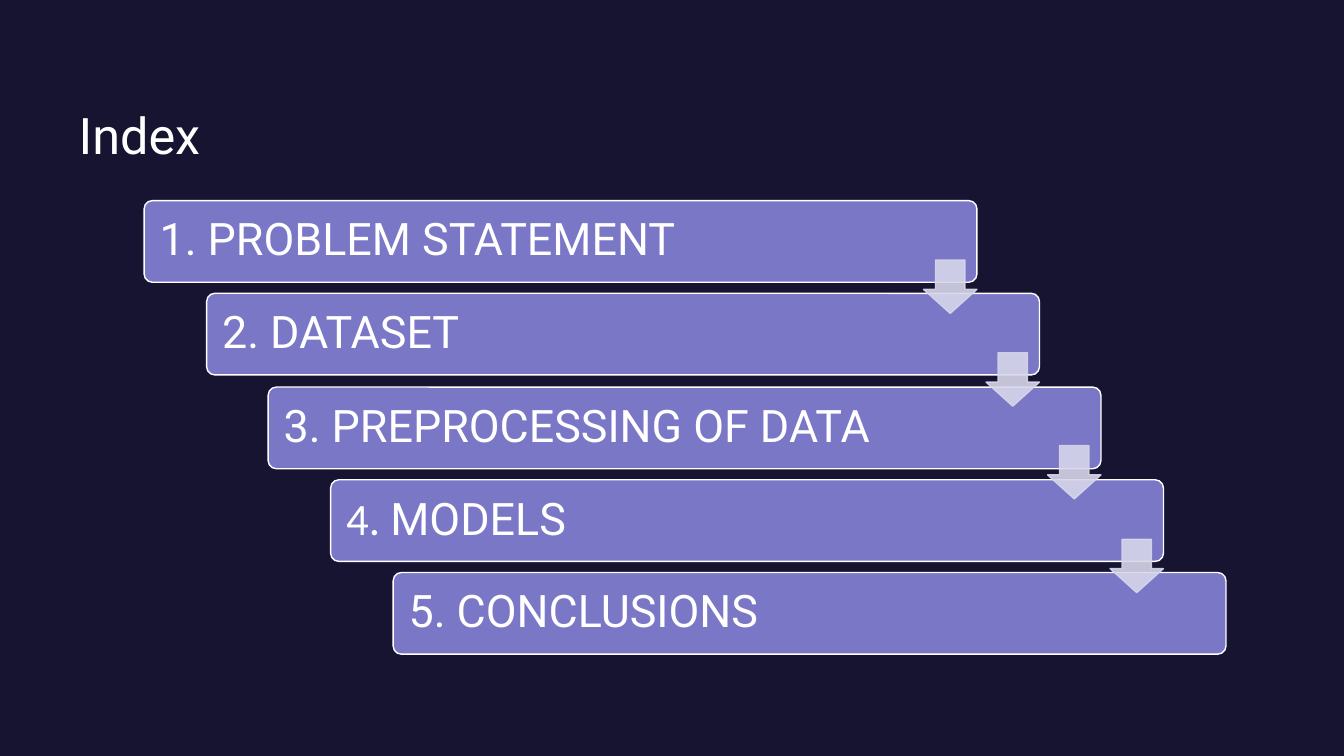
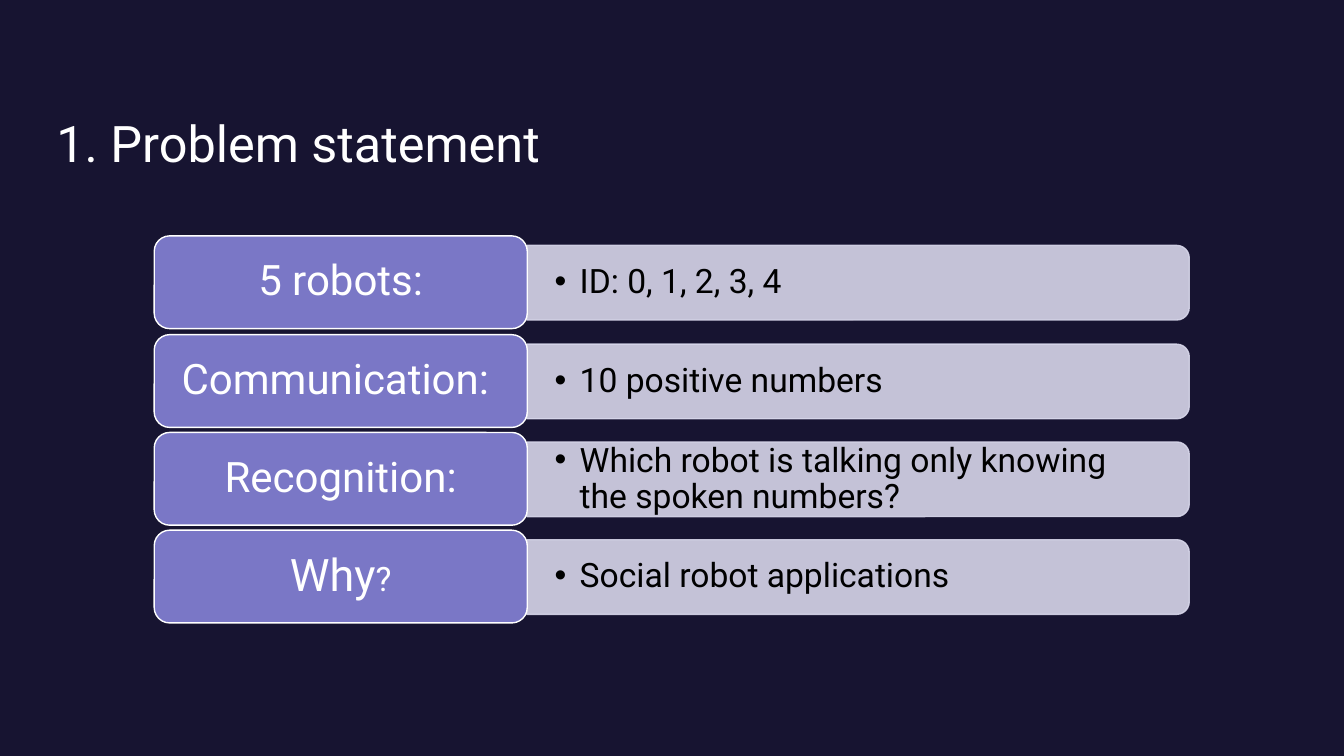
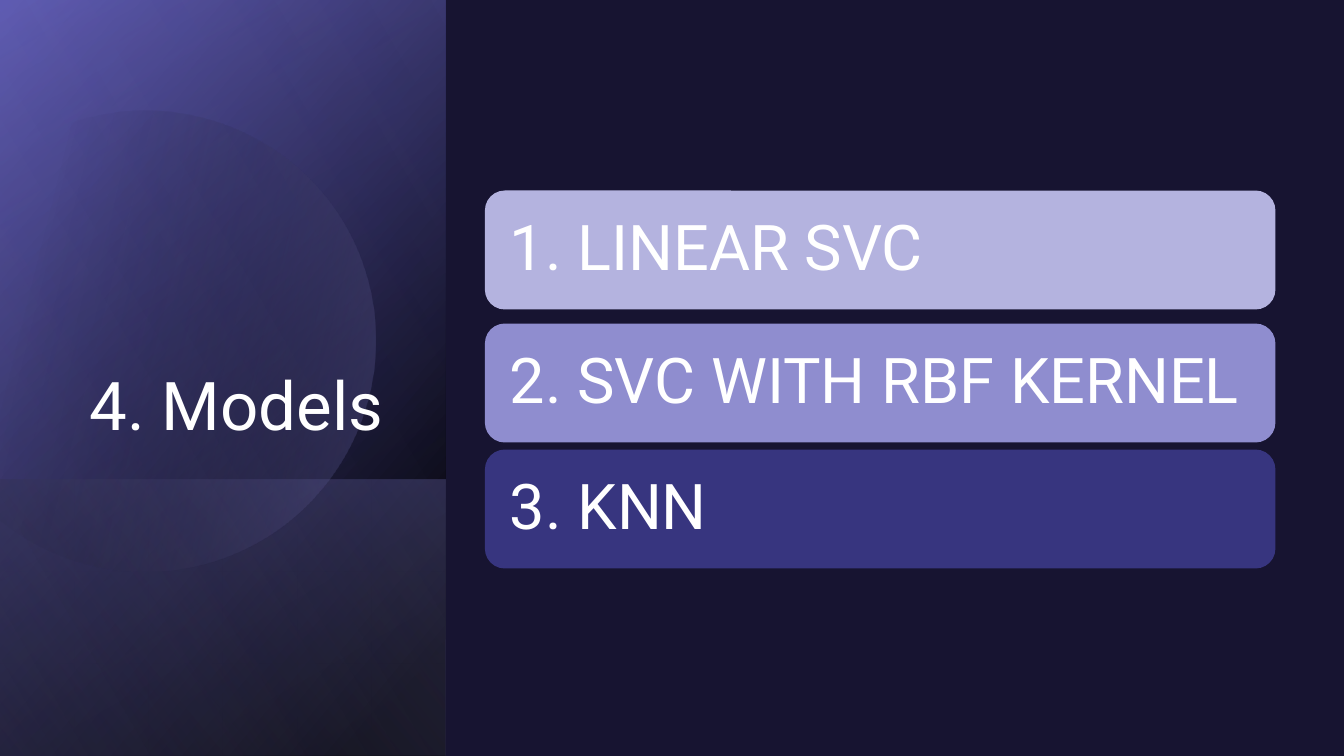
from typing import NamedTuple, Optional, Sequence

from lxml import etree
from pptx import Presentation
from pptx.dml.color import RGBColor
from pptx.enum.shapes import MSO_SHAPE
from pptx.enum.text import MSO_ANCHOR, MSO_AUTO_SIZE, PP_ALIGN
from pptx.oxml.ns import qn
from pptx.util import Emu, Pt

EMU_PER_PX = 9144  # 100 px to the inch
SLIDE_WIDTH, SLIDE_HEIGHT = 1333, 750
TITLE_ONLY_LAYOUT = 5

NIGHT = RGBColor(0x17, 0x14, 0x31)
WHITE = RGBColor(0xFF, 0xFF, 0xFF)
BLACK = RGBColor(0x00, 0x00, 0x00)
VIOLET = RGBColor(0x7A, 0x77, 0xC6)
PALE_VIOLET = RGBColor(0xD7, 0xD6, 0xEA)
INDIGO = RGBColor(0x4A, 0x46, 0xA8)
LAVENDER = RGBColor(0xAF, 0xAD, 0xDD)
MODEL_LIGHT = RGBColor(0xB4, 0xB3, 0xDF)
MODEL_MEDIUM = RGBColor(0x8F, 0x8D, 0xCF)
MODEL_DARK = RGBColor(0x37, 0x35, 0x7F)

FONT = "Roboto"
RECTANGLE = MSO_SHAPE.RECTANGLE
ROUNDED = MSO_SHAPE.ROUNDED_RECTANGLE
ROUNDED_SIDE = MSO_SHAPE.ROUND_2_SAME_RECTANGLE
DOWN_ARROW = MSO_SHAPE.DOWN_ARROW
LEFT, CENTER = PP_ALIGN.LEFT, PP_ALIGN.CENTER
MIDDLE, BOTTOM = MSO_ANCHOR.MIDDLE, MSO_ANCHOR.BOTTOM
NO_AUTOFIT = MSO_AUTO_SIZE.NONE


class Box(NamedTuple):
    left: int
    top: int
    width: int
    height: int

    def emu(self) -> list:
        return [px(length) for length in self]

    def turned(self) -> "Box":
        """The frame that covers this box after a quarter turn."""
        shift = (self.width - self.height) // 2
        return Box(self.left + shift, self.top - shift, self.height, self.width)


class Run(NamedTuple):
    text: str
    size: Optional[int] = None
    font: str = FONT


class Stop(NamedTuple):
    position: int
    color: RGBColor
    alpha: int = 100


class Layer(NamedTuple):
    box: Box
    stops: Sequence[Stop]
    angle: int


class Segment(NamedTuple):
    """A part of an outline: its end and, for a curve, two control points."""
    end: tuple
    controls: Sequence[tuple] = ()


class Fact(NamedTuple):
    label: Sequence[Run]
    detail: str
    label_size: int = 30


class Model(NamedTuple):
    name: str
    top: int
    color: RGBColor


# Slide contents
INDEX_ITEMS = (
    [Run("1. PROBLEM STATEMENT")],
    [Run("2. DATASET")],
    [Run("3. PREPROCESSING OF DATA")],
    [Run("4. ", font="Calibri"), Run("MODELS")],
    [Run("5. CONCLUSIONS")],
)
FACTS = (
    Fact([Run("5 robots:")], "ID: 0, 1, 2, 3, 4"),
    Fact([Run("Communication: ")], "10 positive numbers"),
    Fact([Run("Recognition:")],
         "Which robot is talking only knowing the spoken numbers?"),
    Fact([Run("Why"), Run("?", 24)], "Social robot applications", 32),
)
MODELS = (
    Model("1. LINEAR SVC", 189, MODEL_LIGHT),
    Model("2. SVC WITH RBF KERNEL", 321, MODEL_MEDIUM),
    Model("3. KNN", 446, MODEL_DARK),
)
PANEL = Box(0, 0, 442, 750)
LOWER_PANEL = Box(0, 476, 442, 274)
BACK_LAYERS = (
    Layer(PANEL, [Stop(8, BLACK), Stop(100, INDIGO)], 50),
    Layer(PANEL, [Stop(0, BLACK, 0), Stop(99, VIOLET, 46)], 30),
    Layer(LOWER_PANEL, [Stop(2, VIOLET, 29), Stop(100, BLACK, 30)], 130),
)
FRONT_LAYER = Layer(PANEL, [Stop(0, BLACK, 0), Stop(99, LAVENDER, 11)], 120)
DISC_TOP = (143, 106)
DISC_OUTLINE = (
    Segment((372, 334), [(269, 106), (372, 208)]),
    Segment((143, 563), [(372, 460), (269, 563)]),
    Segment((-55, 448), [(61, 563), (-14, 519)]),
    Segment((36, 133)),
    Segment(DISC_TOP, [(69, 116), (106, 106)]),
)


def px(length: int) -> Emu:
    return Emu(length * EMU_PER_PX)


# Formatting helpers
def set_alpha(fill_parent, percent: int) -> None:
    color = fill_parent.find(qn("a:solidFill"))[0]
    etree.SubElement(color, qn("a:alpha"), val=str(percent * 1000))


def set_gradient(shape, stops: Sequence[Stop], angle: int) -> None:
    shape.fill.background()
    properties = shape._element.spPr
    gradient = etree.Element(qn("a:gradFill"), rotWithShape="1")
    stop_list = etree.SubElement(gradient, qn("a:gsLst"))
    for stop in stops:
        entry = etree.SubElement(stop_list, qn("a:gs"), pos=str(stop.position * 1000))
        color = etree.SubElement(entry, qn("a:srgbClr"), val=str(stop.color))
        etree.SubElement(color, qn("a:alpha"), val=str(stop.alpha * 1000))
    etree.SubElement(gradient, qn("a:lin"), ang=str(angle * 60000), scaled="0")
    properties.replace(properties.find(qn("a:noFill")), gradient)


def write_text(shape, runs: Sequence[Run], *, size: int, color: RGBColor = WHITE,
               align=LEFT, anchor=MIDDLE, inset_x: int = 10, inset_y: int = 10,
               bullet: bool = False) -> None:
    frame = shape.text_frame
    frame.word_wrap = True
    frame.auto_size = NO_AUTOFIT
    frame.vertical_anchor = anchor
    frame.margin_left = frame.margin_right = px(inset_x)
    frame.margin_top = frame.margin_bottom = px(inset_y)
    paragraph = frame.paragraphs[0]
    paragraph.alignment = align
    paragraph.line_spacing = 0.9
    for item in runs:
        run = paragraph.add_run()
        run.text = item.text
        run.font.name = item.font
        run.font.size = Pt(item.size or size)
        run.font.color.rgb = color
    if bullet:
        properties = paragraph._p.get_or_add_pPr()
        properties.set("marL", str(px(25)))
        properties.set("indent", str(px(-25)))
        etree.SubElement(properties, qn("a:buFont"), typeface="Arial")
        etree.SubElement(properties, qn("a:buChar"), char="•")


def add_shape(slide, kind, box: Box, *, fill: Optional[RGBColor] = None,
              line: Optional[RGBColor] = None, alpha: int = 100,
              adjustments: Sequence[float] = (), rotation: int = 0):
    shape = slide.shapes.add_shape(kind, *box.emu())
    shape.shadow.inherit = False
    shape.rotation = rotation
    for index, value in enumerate(adjustments):
        shape.adjustments[index] = value
    if fill is not None:
        shape.fill.solid()
        shape.fill.fore_color.rgb = fill
    if line is None:
        shape.line.fill.background()
    else:
        shape.line.color.rgb = line
        shape.line.width = Pt(1)
    if alpha < 100:
        properties = shape._element.spPr
        set_alpha(properties, alpha)
        set_alpha(properties.find(qn("a:ln")), alpha)
    return shape


def add_titled_slide(presentation):
    return presentation.slides.add_slide(presentation.slide_layouts[TITLE_ONLY_LAYOUT])


def set_title(slide, text: str, box: Box, *, size: int = 36, align=LEFT,
              inset_y: int = 10) -> None:
    title = slide.shapes.title
    title.left, title.top, title.width, title.height = box.emu()
    write_text(title, [Run(text)], size=size, align=align, anchor=BOTTOM,
               inset_y=inset_y)


def add_layer(slide, layer: Layer) -> None:
    shape = add_shape(slide, RECTANGLE, layer.box.turned(), rotation=90)
    shape._element.spPr.find(qn("a:xfrm")).set("flipH", "1")
    set_gradient(shape, layer.stops, layer.angle)


def add_cut_disc(slide) -> None:
    builder = slide.shapes.build_freeform(*DISC_TOP, scale=EMU_PER_PX)
    builder.add_line_segments([segment.end for segment in DISC_OUTLINE], close=True)
    disc = builder.convert_to_shape()
    # Bend the straight segments that have control points
    left = min(segment.end[0] for segment in DISC_OUTLINE)
    top = min(segment.end[1] for segment in DISC_OUTLINE)
    lines = list(disc._element.iter(qn("a:lnTo")))
    for line, segment in zip(lines, DISC_OUTLINE):
        if segment.controls:
            curve = etree.Element(qn("a:cubicBezTo"))
            for x, y in (*segment.controls, segment.end):
                etree.SubElement(curve, qn("a:pt"), x=str(x - left), y=str(y - top))
            line.getparent().replace(line, curve)
    disc.rotation = 343.9
    disc.shadow.inherit = False
    disc.line.fill.background()
    set_gradient(disc, [Stop(29, BLACK, 0), Stop(100, VIOLET, 43)], 30)


# Slides
def build_index(presentation) -> None:
    slide = add_titled_slide(presentation)
    set_title(slide, "Index", Box(68, 7, 820, 167))
    step_x, step_y = 61.75, 92.25
    bars = [Box(round(143 + step_x * i), round(199 + step_y * i), 826, 81)
            for i in range(len(INDEX_ITEMS))]
    for bar, runs in zip(bars, INDEX_ITEMS):
        shape = add_shape(slide, ROUNDED, bar, fill=VIOLET, line=WHITE,
                          adjustments=[0.1])
        write_text(shape, runs, size=32, inset_x=13, inset_y=13)
    for i, bar in enumerate(bars[:-1]):
        arrow = Box(bar.left + 773, round(258 + step_y * i), 53, 53)
        add_shape(slide, DOWN_ARROW, arrow, fill=PALE_VIOLET, line=PALE_VIOLET,
                  alpha=90, adjustments=[0.55, 0.45])


def build_problem(presentation) -> None:
    slide = add_titled_slide(presentation)
    set_title(slide, "1. Problem statement", Box(46, 49, 1026, 133))
    for i, fact in enumerate(FACTS):
        top = round(234.3 + 97.33 * i)
        add_shape(slide, ROUNDED_SIDE, Box(523, top + 9, 657, 74).turned(),
                  fill=PALE_VIOLET, line=PALE_VIOLET, alpha=90, rotation=90)
        detail = slide.shapes.add_textbox(*Box(523, top + 13, 653, 67).emu())
        write_text(detail, [Run(fact.detail)], size=24, color=BLACK,
                   inset_x=27, inset_y=14, bullet=True)
        label = add_shape(slide, ROUNDED, Box(153, top, 370, 92),
                          fill=VIOLET, line=WHITE)
        write_text(label, fact.label, size=fact.label_size, align=CENTER,
                   inset_x=12, inset_y=6)


def build_models(presentation) -> None:
    slide = add_titled_slide(presentation)
    for layer in BACK_LAYERS:
        add_layer(slide, layer)
    add_cut_disc(slide)
    add_layer(slide, FRONT_LAYER)
    set_title(slide, "4. Models", Box(64, 185, 341, 262), size=48, align=CENTER,
              inset_y=5)
    # The title belongs above the panel layers
    slide.shapes._spTree.append(slide.shapes.title._element)
    for model in MODELS:
        shape = add_shape(slide, ROUNDED, Box(481, model.top, 784, 118),
                          fill=model.color)
        write_text(shape, [Run(model.name)], size=45, inset_x=19, inset_y=19)


def main() -> None:
    presentation = Presentation()
    presentation.slide_width = px(SLIDE_WIDTH)
    presentation.slide_height = px(SLIDE_HEIGHT)
    background = presentation.slide_master.background.fill
    background.solid()
    background.fore_color.rgb = NIGHT
    build_index(presentation)
    build_problem(presentation)
    build_models(presentation)
    presentation.save("out.pptx")


if __name__ == "__main__":
    main()
